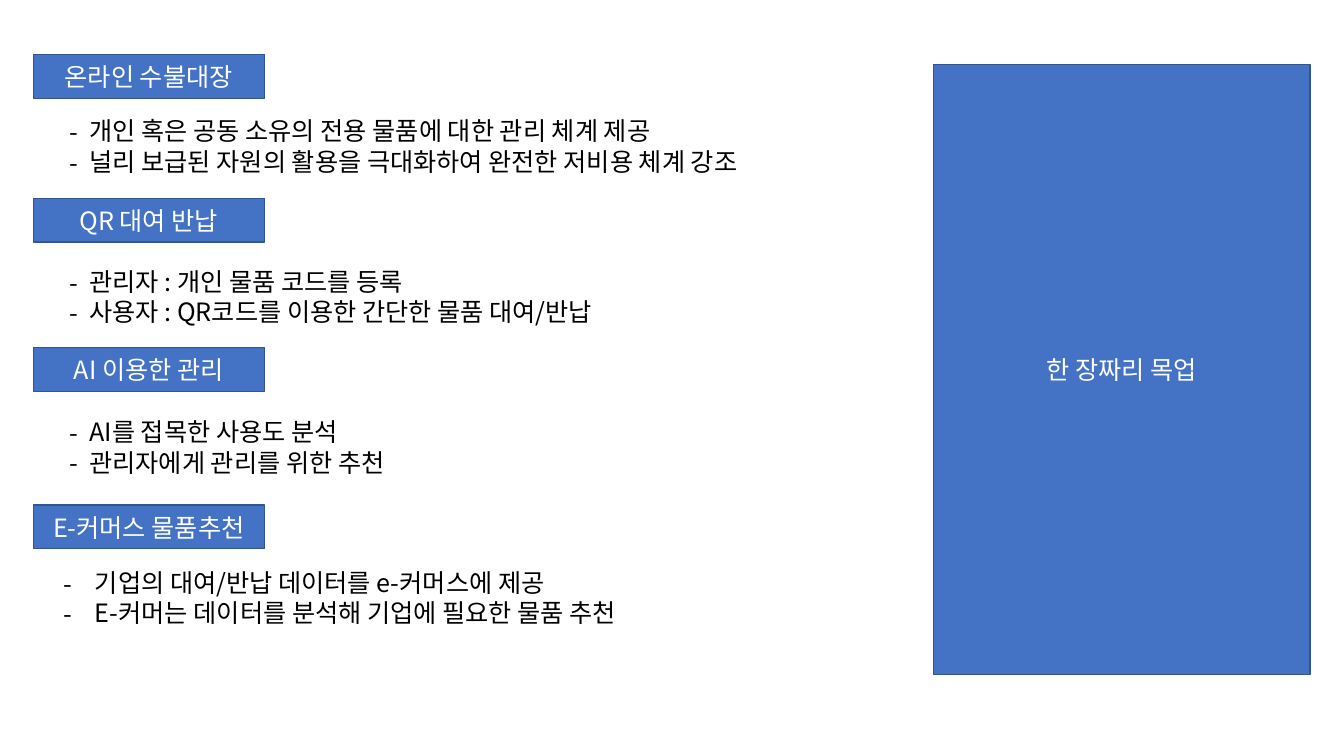
"""Build the slide listing four service features beside a one-page mock-up panel."""
import lxml.etree
import pptx
import pptx.dml.color
import pptx.enum.shapes
import pptx.enum.text
import pptx.oxml.ns
import pptx.util

Cm = pptx.util.Cm
FONT = "Noto Sans CJK KR"
BLUE = pptx.dml.color.RGBColor(0x44, 0x72, 0xC4)
OUTLINE = pptx.dml.color.RGBColor(0x32, 0x54, 0x91)
WHITE = pptx.dml.color.RGBColor(0xFF, 0xFF, 0xFF)
BLACK = pptx.dml.color.RGBColor(0, 0, 0)

COMPARISON_LAYOUT = 4
LIST_TOP, LIST_PITCH = 2.79, 3.79
DASH_INSET, DASH_GAP = 0.14, 0.51
WIDE_DASH_INSET, WIDE_DASH_GAP = 0, 0.79

FEATURES = [
    ("온라인 수불대장", 1.38, DASH_INSET, DASH_GAP,
     ["개인 혹은 공동 소유의 전용 물품에 대한 관리 체계 제공",
      "널리 보급된 자원의 활용을 극대화하여 완전한 저비용 체계 강조"]),
    ("QR 대여 반납", 5.0, DASH_INSET, DASH_GAP,
     ["관리자 : 개인 물품 코드를 등록",
      "사용자 : QR코드를 이용한 간단한 물품 대여/반납"]),
    ("AI 이용한 관리", 8.76, DASH_INSET, DASH_GAP,
     ["AI를 접목한 사용도 분석",
      "관리자에게 관리를 위한 추천"]),
    ("E-커머스 물품추천", 12.73, WIDE_DASH_INSET, WIDE_DASH_GAP,
     ["기업의 대여/반납 데이터를 e-커머스에 제공",
      "E-커머는 데이터를 분석해 기업에 필요한 물품 추천"]),
]


def write(paragraph, text, color=BLACK, size=18, align=pptx.enum.text.PP_ALIGN.LEFT):
    paragraph.alignment = align
    paragraph.space_before = pptx.util.Pt(0)
    run = paragraph.add_run()
    run.text = text
    run.font.size = pptx.util.Pt(size)
    run.font.bold = False
    run.font.color.rgb = color
    run.font.name = FONT
    east_asian = lxml.etree.SubElement(run.font._element, pptx.oxml.ns.qn("a:ea"))
    east_asian.set("typeface", FONT)


class FeatureSlide:
    def __init__(self, deck, fill=BLUE, outline=OUTLINE):
        self.fill, self.outline = fill, outline
        self.slide = deck.slides.add_slide(deck.slide_layouts[COMPARISON_LAYOUT])
        title, *self.bodies = self.slide.placeholders
        title._element.getparent().remove(title._element)

    def panel(self, text, left, top, width, height):
        panel = self.slide.shapes.add_shape(
            pptx.enum.shapes.MSO_SHAPE.RECTANGLE, Cm(left), Cm(top), Cm(width), Cm(height))
        panel.shadow.inherit = False
        panel.fill.solid()
        panel.fill.fore_color.rgb = self.fill
        panel.line.color.rgb = self.outline
        panel.line.width = pptx.util.Pt(1)
        panel.text_frame.vertical_anchor = pptx.enum.text.MSO_ANCHOR.MIDDLE
        write(panel.text_frame.paragraphs[0], text, color=WHITE,
              align=pptx.enum.text.PP_ALIGN.CENTER)

    def dash_list(self, body, items, top, inset, gap):
        body.left, body.top, body.width, body.height = Cm(1.35), Cm(top), Cm(22.58), Cm(1.8)
        frame = body.text_frame
        frame.word_wrap = True
        frame.auto_size = pptx.enum.text.MSO_AUTO_SIZE.NONE
        frame.vertical_anchor = pptx.enum.text.MSO_ANCHOR.TOP
        for index, item in enumerate(items):
            paragraph = frame.add_paragraph() if index else frame.paragraphs[0]
            write(paragraph, item)
            properties = paragraph._p.get_or_add_pPr()
            properties.set("marL", str(Cm(inset + gap)))
            properties.set("indent", str(-Cm(gap)))
            for tag, key, value in (("a:buFont", "typeface", FONT), ("a:buChar", "char", "-")):
                lxml.etree.SubElement(properties, pptx.oxml.ns.qn(tag)).set(key, value)


deck = pptx.Presentation()
deck.slide_width, deck.slide_height = Cm(33.87), Cm(19.05)
features = FeatureSlide(deck)
for row, (heading, heading_top, inset, gap, items) in enumerate(FEATURES):
    features.panel(heading, 0.84, heading_top, 5.82, 1.1)
    features.dash_list(features.bodies[row], items, LIST_TOP + row * LIST_PITCH, inset, gap)
features.panel("한 장짜리 목업", 23.52, 1.63, 9.5, 15.37)
for leftover in features.bodies[len(FEATURES):]:
    leftover._element.getparent().remove(leftover._element)
deck.save("out.pptx")
